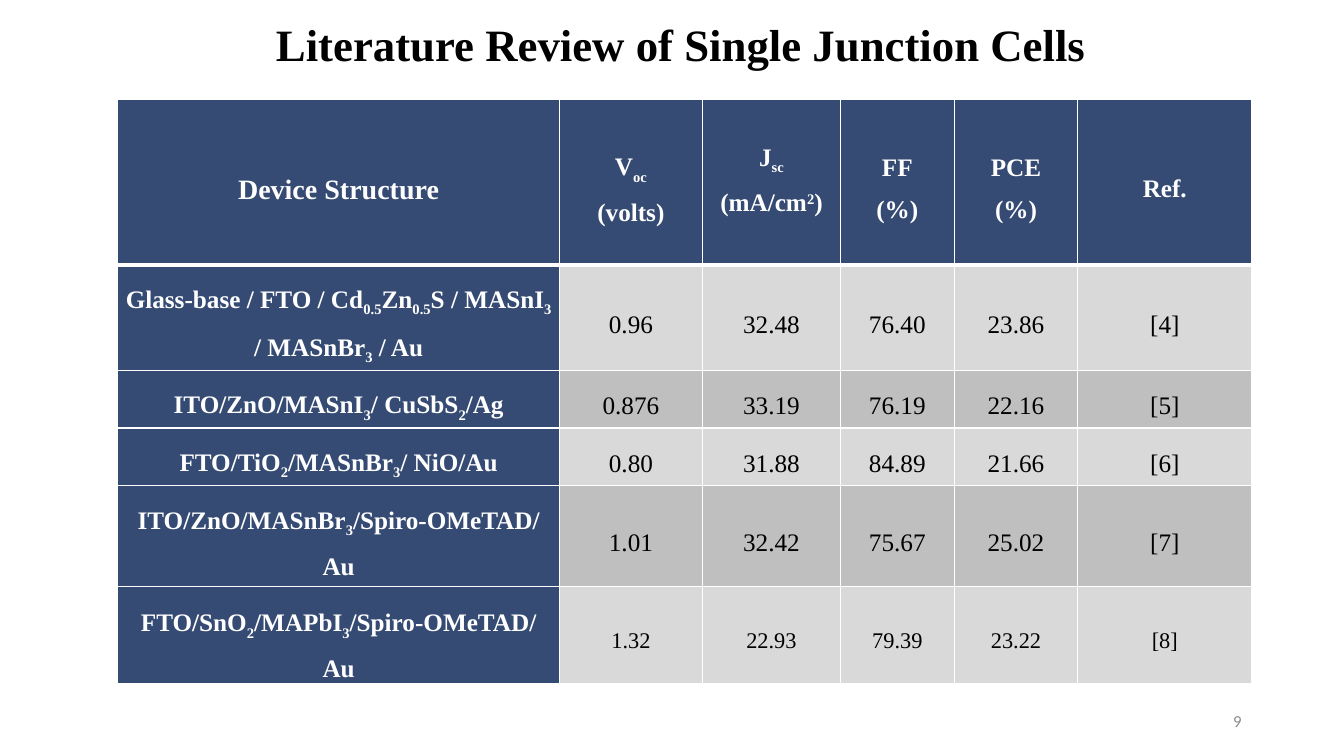
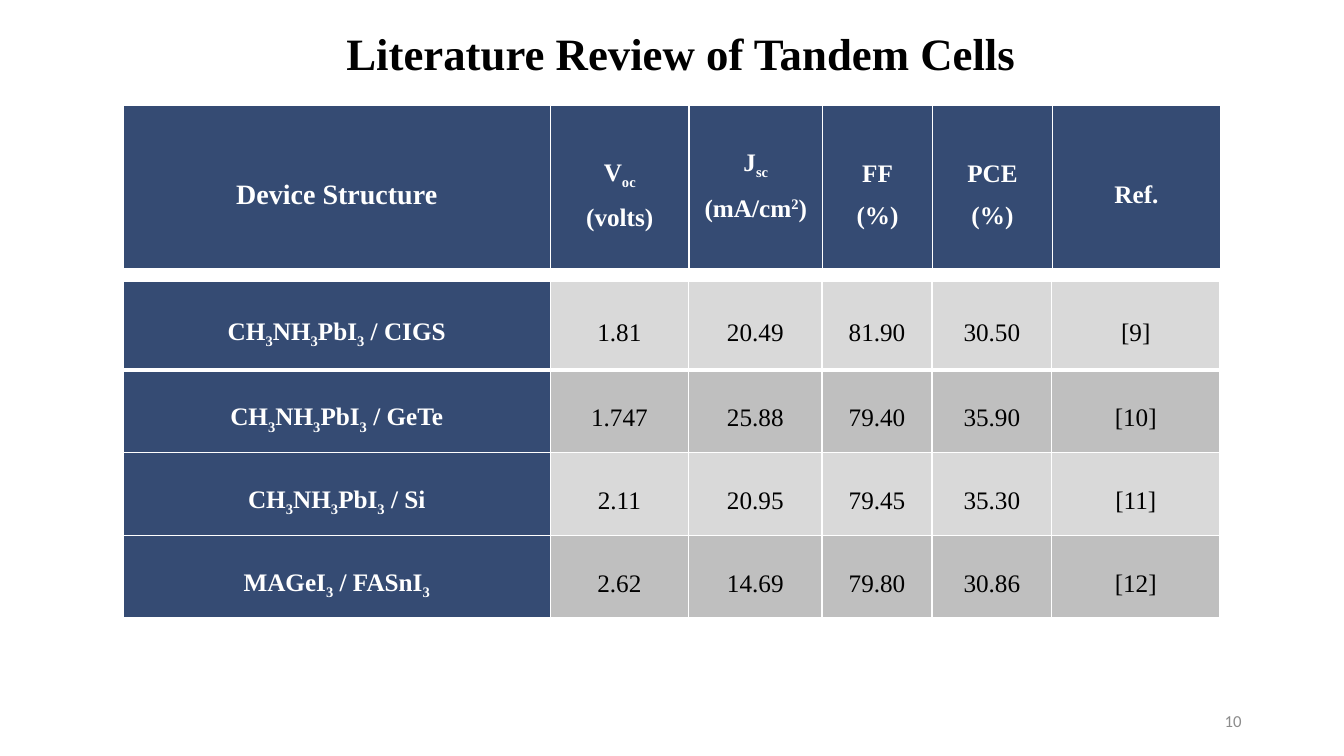
from lxml import etree
from pptx import Presentation
from pptx.dml.color import RGBColor
from pptx.enum.text import MSO_ANCHOR, PP_ALIGN
from pptx.oxml.ns import qn
from pptx.util import Pt

CENTER, RIGHT = PP_ALIGN.CENTER, PP_ALIGN.RIGHT
MIDDLE, BOTTOM = MSO_ANCHOR.MIDDLE, MSO_ANCHOR.BOTTOM
NAVY, WHITE, BLACK, PAGE_GREY = "203864", "FFFFFF", "000000", "8C8C8C"
BANDS = ("D9D9D9", "BFBFBF")
SERIF, SANS = "Times New Roman", "Calibri"
NAVY_OPACITY = 90
HEADER_HEIGHT = 118
COLUMN_WIDTHS = (315.4, 102.2, 98.6, 81.2, 88.4, 124.2)
THIN, THICK = 1, 3

# In the texts, ~x~ is a subscript and ~^x~ a superscript.
HEADER = ("Device Structure", "V~oc~\n(volts)", "J~sc~\n(mA/cm~^2~)", "FF\n(%)", "PCE\n(%)", "Ref.")

SINGLE_ROWS = [
    ("Glass-base / FTO / Cd~0.5~Zn~0.5~S / MASnI~3~ / MASnBr~3~ / Au",
     "0.96", "32.48", "76.40", "23.86", "[4]"),
    ("ITO/ZnO/MASnI~3~/ CuSbS~2~/Ag", "0.876", "33.19", "76.19", "22.16", "[5]"),
    ("FTO/TiO~2~/MASnBr~3~/ NiO/Au", "0.80", "31.88", "84.89", "21.66", "[6]"),
    ("ITO/ZnO/MASnBr~3~/Spiro-OMeTAD/Au", "1.01", "32.42", "75.67", "25.02", "[7]"),
    ("FTO/SnO~2~/MAPbI~3~/Spiro-OMeTAD/Au", "1.32", "22.93", "79.39", "23.22", "[8]"),
]
TANDEM_ROWS = [
    ("CH~3~NH~3~PbI~3~ / CIGS", "1.81", "20.49", "81.90", "30.50", "[9]"),
    ("CH~3~NH~3~PbI~3~ / GeTe", "1.747", "25.88", "79.40", "35.90", "[10]"),
    ("CH~3~NH~3~PbI~3~ / Si", "2.11", "20.95", "79.45", "35.30", "[11]"),
    ("MAGeI~3~ / FASnI~3~", "2.62", "14.69", "79.80", "30.86", "[12]"),
]


def colour(value):
    return RGBColor.from_string(value)


def write(frame, text, size=18, font=SERIF, ink=BLACK, bold=False, align=CENTER, spacing=1.0):
    frame.word_wrap = True
    for line_number, line in enumerate(text.split("\n")):
        para = frame.add_paragraph() if line_number else frame.paragraphs[0]
        para.alignment = align
        para.line_spacing = spacing
        for part_number, part in enumerate(line.split("~")):
            if not part:
                continue
            span = para.add_run()
            span.text = part.lstrip("^")
            span.font.size = Pt(size)
            span.font.name = font
            span.font.bold = bold
            span.font.color.rgb = colour(ink)
            if part_number % 2:
                shift = "30000" if part.startswith("^") else "-25000"
                span.font._element.set("baseline", shift)


def add_text(page, text, left, top, width, height, **style):
    box = page.shapes.add_textbox(Pt(left), Pt(top), Pt(width), Pt(height))
    box.text_frame.vertical_anchor = MIDDLE
    write(box.text_frame, text, **style)


def paint_cell(cell, fill, bottom_line):
    cell.fill.solid()
    cell.fill.fore_color.rgb = colour(fill)
    properties = cell._tc.get_or_add_tcPr()
    if fill == NAVY:
        tint = properties.find(".//" + qn("a:srgbClr"))
        etree.SubElement(tint, qn("a:alpha"), val=str(NAVY_OPACITY * 1000))
    sides = (("a:lnL", THIN), ("a:lnR", THIN), ("a:lnT", THIN), ("a:lnB", bottom_line))
    for position, (side, weight) in enumerate(sides):
        line = etree.Element(qn(side), w=str(Pt(weight)))
        solid = etree.SubElement(line, qn("a:solidFill"))
        etree.SubElement(solid, qn("a:srgbClr"), val=WHITE)
        properties.insert(position, line)


def fill_cell(cell, text, fill, bottom_line=THIN, anchor=MIDDLE, lift=0, **style):
    cell.margin_left = cell.margin_right = Pt(5)
    cell.margin_top, cell.margin_bottom = Pt(0), Pt(lift)
    cell.vertical_anchor = anchor
    paint_cell(cell, fill, bottom_line)
    write(cell.text_frame, text, spacing=1.5, **style)


def add_grid(page, left, top, width, heights):
    frame = page.shapes.add_table(len(heights), len(COLUMN_WIDTHS), Pt(left), Pt(top),
                                  Pt(width), Pt(sum(heights)))
    grid = frame.table
    grid.first_row = grid.horz_banding = False
    scale = width / sum(COLUMN_WIDTHS)
    for column, share in zip(grid.columns, COLUMN_WIDTHS):
        column.width = Pt(share * scale)
    for row, height in zip(grid.rows, heights):
        row.height = Pt(height)
    return grid


def fill_header(grid):
    for index, label in enumerate(HEADER):
        fill_cell(grid.cell(0, index), label, NAVY, THICK, lift=14 if index == 2 else 0,
                  size=18 if index else 20, ink=WHITE, bold=True)


def fill_body(grid, rows, first=0, thick_rows=(), small_rows=()):
    for number, (device, *values) in enumerate(rows):
        row = first + number
        weight = THICK if number in thick_rows else THIN
        small = number in small_rows
        fill_cell(grid.cell(row, 0), device, NAVY, weight,
                  anchor=BOTTOM if small else MIDDLE, ink=WHITE, bold=True)
        for column, value in enumerate(values, 1):
            fill_cell(grid.cell(row, column), value, BANDS[number % 2], weight,
                      size=16 if small else 18)


def add_page(deck, title, title_top, number):
    page = deck.slides.add_slide(deck.slide_layouts[6])
    add_text(page, title, 133, title_top, 707, 39, size=32, bold=True, spacing=0.9)
    add_text(page, number, 678, 500, 216, 29, size=12, font=SANS, ink=PAGE_GREY, align=RIGHT)
    return page


def main():
    deck = Presentation()
    deck.slide_width, deck.slide_height = Pt(960), Pt(540)

    page = add_page(deck, "Literature Review of Single Junction Cells", 14.4, "9")
    grid = add_grid(page, 84.2, 71.2, 810, (HEADER_HEIGHT, 75.6, 41, 41, 72, 64))
    fill_header(grid)
    fill_body(grid, SINGLE_ROWS, first=1, small_rows=(4,))

    page = add_page(deck, "Literature Review of Tandem Cells", 20.2, "10")
    fill_header(add_grid(page, 88, 75, 784, (HEADER_HEIGHT,)))
    grid = add_grid(page, 88, 201, 783.4, (63.4, 59, 59, 59))
    fill_body(grid, TANDEM_ROWS, thick_rows=(0,))

    deck.save("out.pptx")


if __name__ == "__main__":
    main()
